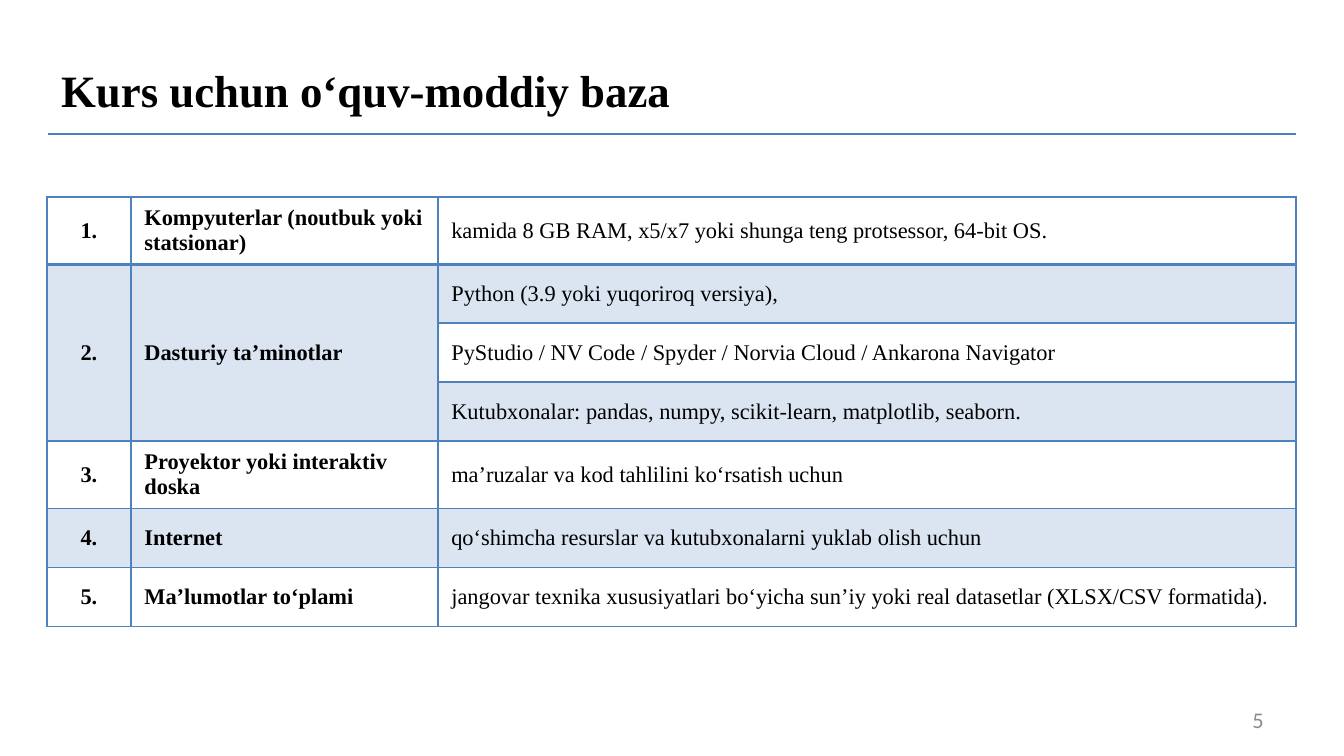
from lxml.etree import SubElement
from pptx import Presentation
from pptx.dml.color import RGBColor
from pptx.enum.shapes import MSO_CONNECTOR
from pptx.enum.text import MSO_ANCHOR, MSO_AUTO_SIZE, PP_ALIGN
from pptx.oxml import parse_xml
from pptx.oxml.ns import nsdecls, qn
from pptx.util import Emu, Pt

PX = 914400 / 134.4
BLACK = RGBColor(0x00, 0x00, 0x00)
GRAY = RGBColor(0x8C, 0x8C, 0x8C)
RULE_BLUE = RGBColor(0x4B, 0x7E, 0xBC)
TABLE_BLUE = RGBColor(0x4F, 0x81, 0xBD)
SERIF = "Times New Roman"

ROW_HEIGHT = 59
COLUMN_WIDTHS = [84, 307, 858]
ROWS = [
    ["1.", "Kompyuterlar (noutbuk yoki statsionar)",
     "kamida 8 GB RAM, x5/x7 yoki shunga teng protsessor, 64-bit OS."],
    ["2.", "Dasturiy ta’minotlar", "Python (3.9 yoki yuqoriroq versiya),"],
    ["", "", "PyStudio / NV Code / Spyder / Norvia Cloud / Ankarona Navigator"],
    ["", "", "Kutubxonalar: pandas, numpy, scikit-learn, matplotlib, seaborn."],
    ["3.", "Proyektor yoki interaktiv doska",
     "ma’ruzalar va kod tahlilini ko‘rsatish uchun"],
    ["4.", "Internet", "qo‘shimcha resurslar va kutubxonalarni yuklab olish uchun"],
    ["5.", "Ma’lumotlar to‘plami",
     "jangovar texnika xususiyatlari bo‘yicha sun’iy yoki real datasetlar (XLSX/CSV formatida)."],
]


def px(value):
    return Emu(round(value * PX))


def add_run(paragraph, text, size, font_name, color, bold=False):
    run = paragraph.add_run()
    run.text = text
    run.font.size = Pt(size)
    run.font.name = font_name
    run.font.bold = bold
    run.font.color.rgb = color


presentation = Presentation()
presentation.slide_width = px(1344)
presentation.slide_height = px(756)
slide = presentation.slides.add_slide(presentation.slide_layouts[6])

# Title and rule
rule = slide.shapes.add_connector(MSO_CONNECTOR.STRAIGHT, px(48), px(134), px(1296), px(134))
rule.line.color.rgb = RULE_BLUE
rule.line.width = Pt(0.75)
SubElement(rule._element.spPr, qn("a:effectLst"))

title = slide.shapes.add_textbox(px(48), px(56), px(654), px(67))
title.text_frame.word_wrap = False
title.text_frame.auto_size = MSO_AUTO_SIZE.SHAPE_TO_FIT_TEXT
add_run(title.text_frame.paragraphs[0], "Kurs uchun o‘quv-moddiy baza", 24, SERIF, BLACK, True)

# Table: two-line rows grow beyond the common height
table = slide.shapes.add_table(
    len(ROWS), len(COLUMN_WIDTHS), px(47), px(197),
    px(sum(COLUMN_WIDTHS)), px(ROW_HEIGHT * len(ROWS))).table
table.first_row = False
table.horz_banding = False
for column, width in zip(table.columns, COLUMN_WIDTHS):
    column.width = px(width)
for row in table.rows:
    row.height = px(ROW_HEIGHT)

for row_index, texts in enumerate(ROWS):
    for column_index, text in enumerate(texts):
        cell = table.cell(row_index, column_index)
        cell.vertical_anchor = MSO_ANCHOR.MIDDLE
        properties = cell._tc.get_or_add_tcPr()
        for side in "LRTB":
            thick = (row_index == 0 and side == "B") or (row_index == 1 and side == "T")
            properties.append(parse_xml(
                f'<a:ln{side} {nsdecls("a")} w="{Pt(2 if thick else 1)}">'
                f'<a:solidFill><a:srgbClr val="{TABLE_BLUE}"/></a:solidFill></a:ln{side}>'))
        if row_index % 2 or (row_index == 2 and column_index < 2):
            cell.fill.solid()
            cell.fill.fore_color.rgb = TABLE_BLUE
            color = properties.find(qn("a:solidFill")).find(qn("a:srgbClr"))
            SubElement(color, qn("a:alpha")).set("val", "20000")
        else:
            cell.fill.background()
        if text:
            paragraph = cell.text_frame.paragraphs[0]
            paragraph.alignment = PP_ALIGN.LEFT if column_index else PP_ALIGN.CENTER
            add_run(paragraph, text, 12, SERIF, BLACK, column_index < 2)

for column_index in range(2):
    table.cell(1, column_index).merge(table.cell(3, column_index))

# Page number
page_number = slide.shapes.add_textbox(px(964), px(700), px(313), px(40))
page_number.text_frame.word_wrap = True
page_number.text_frame.vertical_anchor = MSO_ANCHOR.MIDDLE
page_number.text_frame.paragraphs[0].alignment = PP_ALIGN.RIGHT
add_run(page_number.text_frame.paragraphs[0], "5", 12, "Calibri", GRAY)

presentation.save("out.pptx")
